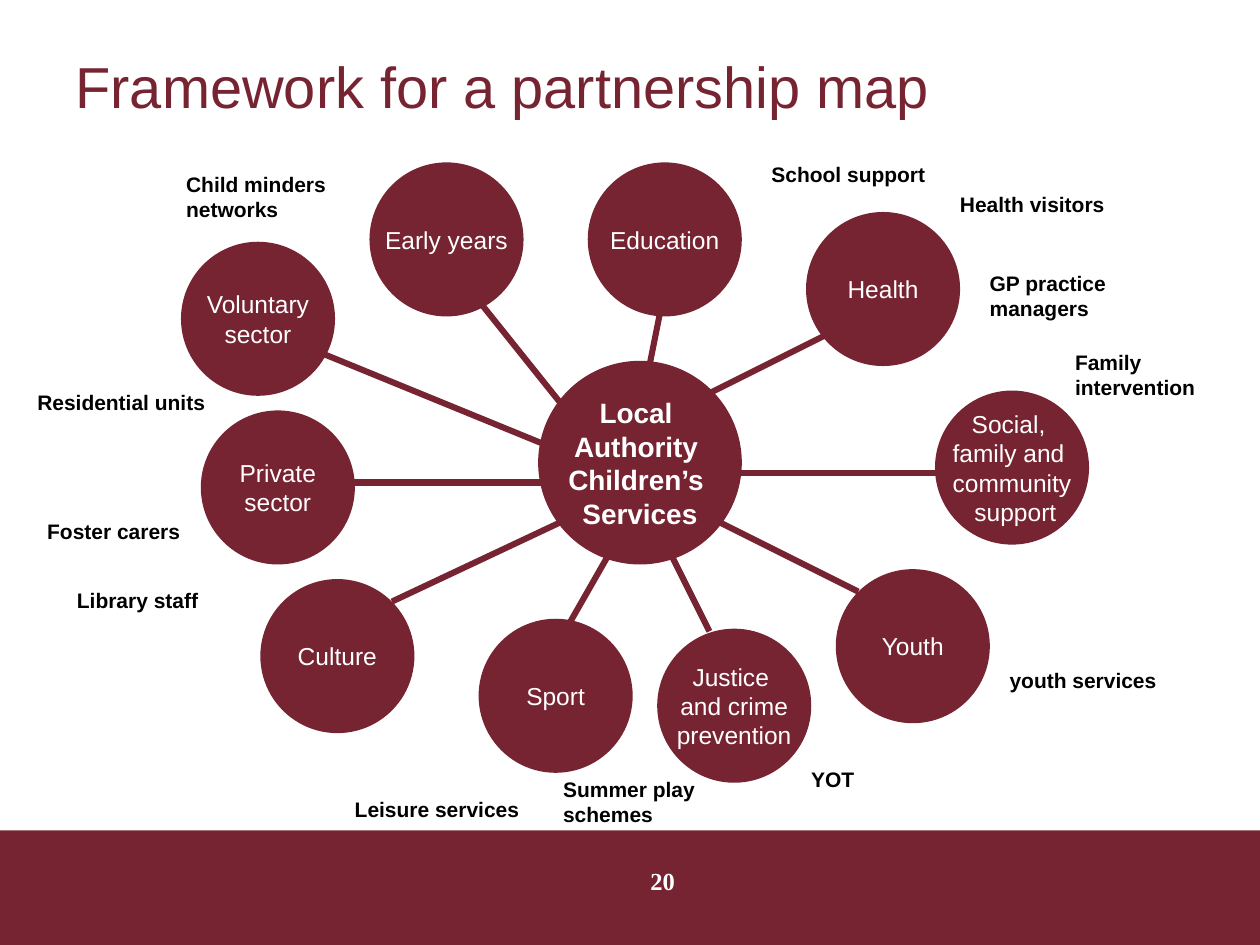
from pptx import Presentation, util as u
from pptx.dml.color import RGBColor
from pptx.enum import shapes as es, text as et
from pptx.oxml.ns import qn
from lxml import etree

WINE, WHITE, BLACK = "772432", "FFFFFF", "000000"

# All places are (column, row) on a 0.2 cm grid
CELL, LEFT, TOP = u.Cm(0.2), u.Inches(0.04), u.Inches(0.05)
NODE, HUB, LABEL = 15, 20, 20  # circle diameters and label width, in cells

hub = ("Local \nAuthority \nChildren’s \nServices", (54, 36))

# Partner, corner of its circle, spoke from the hub, spoke to the partner
nodes = [
    ("Private\nsector", (20, 41), (54, 48), (35, 48)),
    ("Culture", (26, 58), (56, 52), (39, 60)),
    ("Sport", (48, 62), (61, 55), (57, 62)),
    ("Justice \nand crime\nprevention", (66, 63), (67, 55), (71, 63)),
    ("Youth", (84, 57), (72, 52), (86, 59)),
    ("Social, \nfamily and \ncommunity\n support", (94, 39), (74, 47), (94, 47)),
    ("Health", (81, 21), (71, 39), (83, 33)),
    ("Education", (59, 16), (65, 36), (66, 31)),
    ("Voluntary\nsector", (18, 24), (54, 44), (32, 35)),
    ("Early years", (37, 16), (56, 40), (48, 30)),
]

# Label, corner, lines of text
labels = [
    ("Foster carers", (3, 51), 1),
    ("YOT", (80, 76), 1),
    ("Library staff", (6, 58), 1),
    ("Residential units", (2, 38), 1),
    ("Child minders networks", (17, 16), 2),
    ("Health visitors", (95, 18), 1),
    ("Leisure services", (34, 79), 1),
    ("Summer play schemes", (55, 77), 2),
    ("youth services", (100, 66), 1),
    ("School support", (76, 15), 1),
    ("GP practice managers", (98, 26), 2),
    ("Family intervention", (106.6, 34), 2),
]


def rgb(hue):
    return RGBColor.from_string(hue)


def spot(cell):
    col, row = cell
    return int(LEFT + col * CELL), int(TOP + row * CELL)


def write(frame, words, size, hue, bold=False, face="Arial", align=None):
    frame.text = words
    for para in frame.paragraphs:
        para.alignment = align
        font = para.font
        font.name, font.size, font.bold = face, u.Pt(size), bold
        font.color.rgb = rgb(hue)


def solid(kind, *box):
    shape = slide.shapes.add_shape(kind, *box)
    shape.shadow.inherit = False
    shape.fill.solid()
    shape.fill.fore_color.rgb = rgb(WINE)
    return shape


def circle(words, cell, span, size, bold=False):
    disc = solid(es.MSO_SHAPE.OVAL, *spot(cell), span * CELL, span * CELL)
    disc.line.color.rgb = rgb(WINE)
    disc.line.width = u.Pt(3)
    frame = disc.text_frame
    frame.word_wrap = False
    frame.vertical_anchor = et.MSO_ANCHOR.MIDDLE
    write(frame, words, size, WHITE, bold, align=et.PP_ALIGN.CENTER)


def spoke(start, end):
    line = slide.shapes.add_connector(
        es.MSO_CONNECTOR.STRAIGHT, *spot(start), *spot(end))
    line.line.color.rgb = rgb(WINE)
    line.line.width = u.Pt(3.5)
    etree.SubElement(line._element.spPr, qn("a:effectLst"))


def textbox(*box):
    frame = slide.shapes.add_textbox(*box).text_frame
    frame.word_wrap = True
    return frame


deck = Presentation()
deck.slide_width, deck.slide_height = u.Inches(10), u.Inches(7.5)
slide = deck.slides.add_slide(deck.slide_layouts[5])

# Footer band
band = solid(es.MSO_SHAPE.RECTANGLE, 0, u.Inches(6.59),
             deck.slide_width, u.Inches(0.91))
band.line.fill.background()

# Title
title = slide.shapes.title
title.left, title.top = u.Inches(0.5), u.Inches(0.05)
title.width, title.height = u.Inches(9), u.Inches(1.25)
title.text_frame.vertical_anchor = et.MSO_ANCHOR.MIDDLE
write(title.text_frame, "Framework for a partnership map", 33, WINE,
      align=et.PP_ALIGN.LEFT)

# Hub, partners and spokes
circle(*hub, HUB, 16, True)
for name, cell, start, end in nodes:
    circle(name, cell, NODE, 14)
for name, cell, start, end in nodes:
    spoke(start, end)

# Labels around the map
for words, cell, rows in labels:
    frame = textbox(*spot(cell), LABEL * CELL, u.Inches(0.1 + 0.2 * rows))
    write(frame, words, 12, BLACK, True)

# Page number
page = textbox(u.Inches(4.84), u.Inches(6.82), u.Inches(0.84), u.Inches(0.52))
write(page, "20", 14, WHITE, True, "Times New Roman", et.PP_ALIGN.CENTER)

deck.save("out.pptx")
